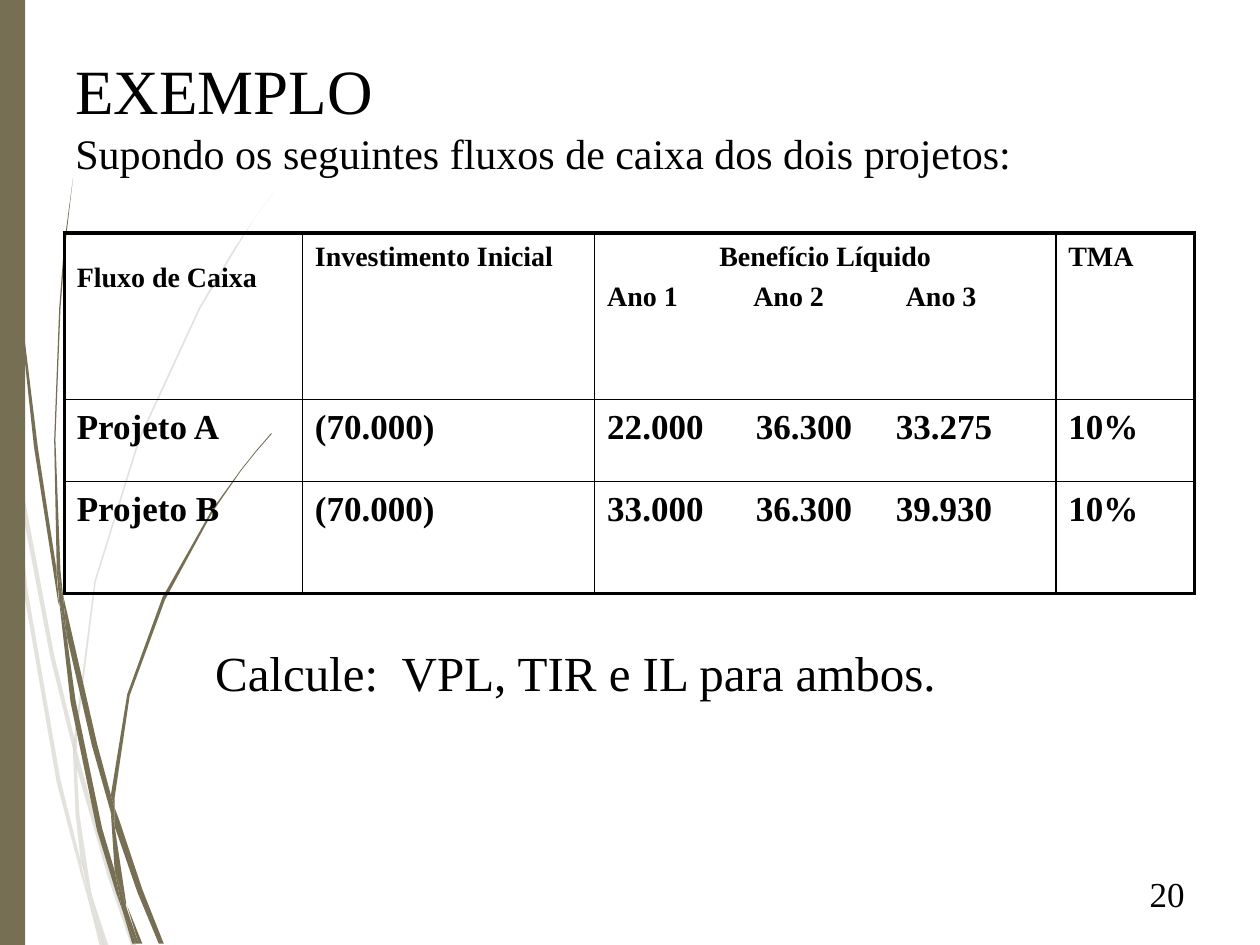
from lxml import etree
from pptx import Presentation, util as u
from pptx.dml.color import RGBColor
from pptx.enum import shapes, text
from pptx.oxml import ns

PX = u.Inches(1) // 100
FONT = "Times New Roman"
INK = {"text": "000000", "stem": "766F54"}

PALE = [
    [(8, 350), (6, 322), (0, 282), (0, 299), (7, 344)],
    [(40, 522), (59, 599), (59, 586), (43, 520), (10, 345), (12, 376)],
    [(64, 607), (61, 596), (61, 610), (85, 694), (104, 750), (108, 750), (88, 692)],
    [(83, 750), (86, 750), (73, 711)],
    [(64, 683), (48, 619), (22, 469), (12, 376), (8, 350), (19, 470),
     (45, 621), (64, 693), (70, 714), (69, 707)],
    [(58, 599), (60, 646), (64, 683), (67, 692), (73, 711), (72, 706),
     (63, 646), (61, 610), (61, 608)],
    [(61, 584), (76, 462), (111, 349), (159, 245), (187, 198), (201, 175),
     (217, 153), (201, 175), (186, 197), (158, 244), (110, 348), (75, 461),
     (59, 584), (59, 586), (61, 596)],
    [(70, 714), (79, 750), (82, 750)],
    [(61, 608), (61, 610), (61, 596), (59, 586), (58, 599)],
    [(67, 692), (65, 683), (69, 707), (70, 714), (82, 750), (83, 750), (73, 711)],
]
DARK = [
    [(5, 110), (14, 233), (27, 355), (46, 477), (47, 481), (45, 457), (45, 453),
     (30, 355), (15, 232), (6, 109), (4, 48), (3, 0), (2, 0), (3, 48)],
    [(73, 592), (88, 645), (88, 633), (88, 631), (77, 590), (50, 472), (53, 505)],
    [(94, 649), (91, 641), (91, 656), (109, 708), (126, 749), (130, 749), (113, 706)],
    [(91, 691), (81, 657), (60, 556), (53, 505), (47, 477), (56, 557),
     (77, 659), (92, 708), (97, 722), (96, 717)],
    [(50, 472), (48, 453), (44, 349), (48, 245), (52, 193), (58, 141),
     (51, 193), (47, 245), (43, 349), (45, 449), (49, 471)],
    [(110, 749), (113, 749), (101, 719)],
    [(47, 477), (53, 505), (50, 472), (49, 471), (45, 449), (45, 453)],
    [(91, 633), (103, 552), (131, 476), (169, 406), (191, 374), (203, 359),
     (216, 344), (215, 344), (203, 358), (191, 373), (168, 405), (129, 474),
     (101, 551), (88, 631), (91, 641)],
    [(97, 722), (105, 749), (108, 749)],
    [(88, 645), (91, 691), (96, 706), (100, 719), (100, 716), (91, 656), (90, 651)],
    [(88, 645), (90, 651), (91, 656), (91, 641), (88, 631), (88, 633)],
    [(96, 706), (91, 691), (96, 717), (97, 722), (108, 749), (110, 749), (100, 719)],
]

COLS = [189, 232, 366, 110]
ROWS = [132, 65, 89]
GRID = [
    [["Fluxo de Caixa"], ["Investimento Inicial"],
     ["Benefício Líquido", "Ano 1\tAno 2\tAno 3"], ["TMA"]],
    [["Projeto A"], ["(70.000)"], ["22.000\t36.300\t33.275"], ["10%"]],
    [["Projeto B"], ["(70.000)"], ["33.000\t36.300\t39.930"], ["10%"]],
]
STOPS = [(116, 237), (118, 229), (118, 229)]


def rgb(name):
    return RGBColor.from_string(INK[name])


def write(frame, lines, sizes, bold=False, align="LEFT", gap=0, stops=()):
    for i, (line, size) in enumerate(zip(lines, sizes)):
        par = frame.paragraphs[0] if i == 0 else frame.add_paragraph()
        par.alignment = getattr(text.PP_ALIGN, align)
        if i and gap:
            par.space_before = u.Pt(gap)
        if "\t" in line:
            par.alignment = text.PP_ALIGN.LEFT
            tabs = etree.SubElement(par._p.get_or_add_pPr(), ns.qn("a:tabLst"))
            for stop in stops:
                etree.SubElement(tabs, ns.qn("a:tab"), pos=str(stop * PX), algn="l")
        run = par.add_run()
        run.text = line
        run.font.name = FONT
        run.font.size = u.Pt(size)
        run.font.bold = bold
        run.font.color.rgb = rgb("text")


def box(slide, area, lines, sizes, top=5, anchor="TOP", **form):
    frame = slide.shapes.add_textbox(*(n * PX for n in area)).text_frame
    frame.word_wrap = True
    frame.margin_top = top * PX
    frame.vertical_anchor = getattr(text.MSO_ANCHOR, anchor)
    write(frame, lines, sizes, **form)


def paint(shape, alpha=None):
    shape.shadow.inherit = False
    shape.line.fill.background()
    shape.fill.solid()
    shape.fill.fore_color.rgb = rgb("stem")
    if alpha:
        color = shape.fill._xPr.find(".//" + ns.qn("a:srgbClr"))
        etree.SubElement(color, ns.qn("a:alpha"), val=str(alpha * 1000))


def stems(slide, parts, alpha=None):
    for first, *rest in parts:
        path = slide.shapes.build_freeform(*first, scale=PX)
        path.add_line_segments(rest, close=True)
        paint(path.convert_to_shape(), alpha)


def edge(cell, side, thick):
    line = etree.SubElement(cell._tc.get_or_add_tcPr(), ns.qn("a:ln" + side),
                            w=str(u.Pt(2.25 if thick else 1)))
    fill = etree.SubElement(line, ns.qn("a:solidFill"))
    etree.SubElement(fill, ns.qn("a:srgbClr"), val=INK["text"])


def grid(slide):
    table = slide.shapes.add_table(len(ROWS), len(COLS), 51 * PX, 185 * PX,
                                   sum(COLS) * PX, sum(ROWS) * PX).table
    table.first_row = table.horz_banding = False
    for col, width in zip(table.columns, COLS):
        col.width = width * PX
    for row, height in zip(table.rows, ROWS):
        row.height = height * PX
    for r, row in enumerate(GRID):
        for c, lines in enumerate(row):
            cell = table.cell(r, c)
            cell.margin_left = cell.margin_right = 10 * PX
            cell.margin_top = (23 if r == c == 0 else 7) * PX
            edge(cell, "L", c == 0)
            edge(cell, "R", c == len(COLS) - 1)
            edge(cell, "T", r == 0)
            edge(cell, "B", r == len(ROWS) - 1)
            cell.fill.background()
            write(cell.text_frame, lines, [20 if r else 16] * len(lines), bold=True,
                  align="CENTER" if len(lines) > 1 else "LEFT", gap=5, stops=STOPS[r])


def main():
    deck = Presentation()
    deck.slide_width, deck.slide_height = 1000 * PX, 750 * PX
    slide = deck.slides.add_slide(deck.slide_layouts[6])
    stems(slide, PALE, alpha=20)
    stems(slide, DARK)
    paint(slide.shapes.add_shape(shapes.MSO_SHAPE.RECTANGLE, 0, 0, 20 * PX, 750 * PX))
    box(slide, (50, 30, 900, 125),
        ["EXEMPLO", "Supondo os seguintes fluxos de caixa dos dois projetos:"],
        [36, 24], top=11)
    box(slide, (717, 683, 233, 52), ["20"], [20], anchor="MIDDLE", align="RIGHT")
    grid(slide)
    box(slide, (161, 500, 764, 57), ["Calcule:  VPL, TIR e IL para ambos."], [28], top=10)
    deck.save("out.pptx")


if __name__ == "__main__":
    main()
